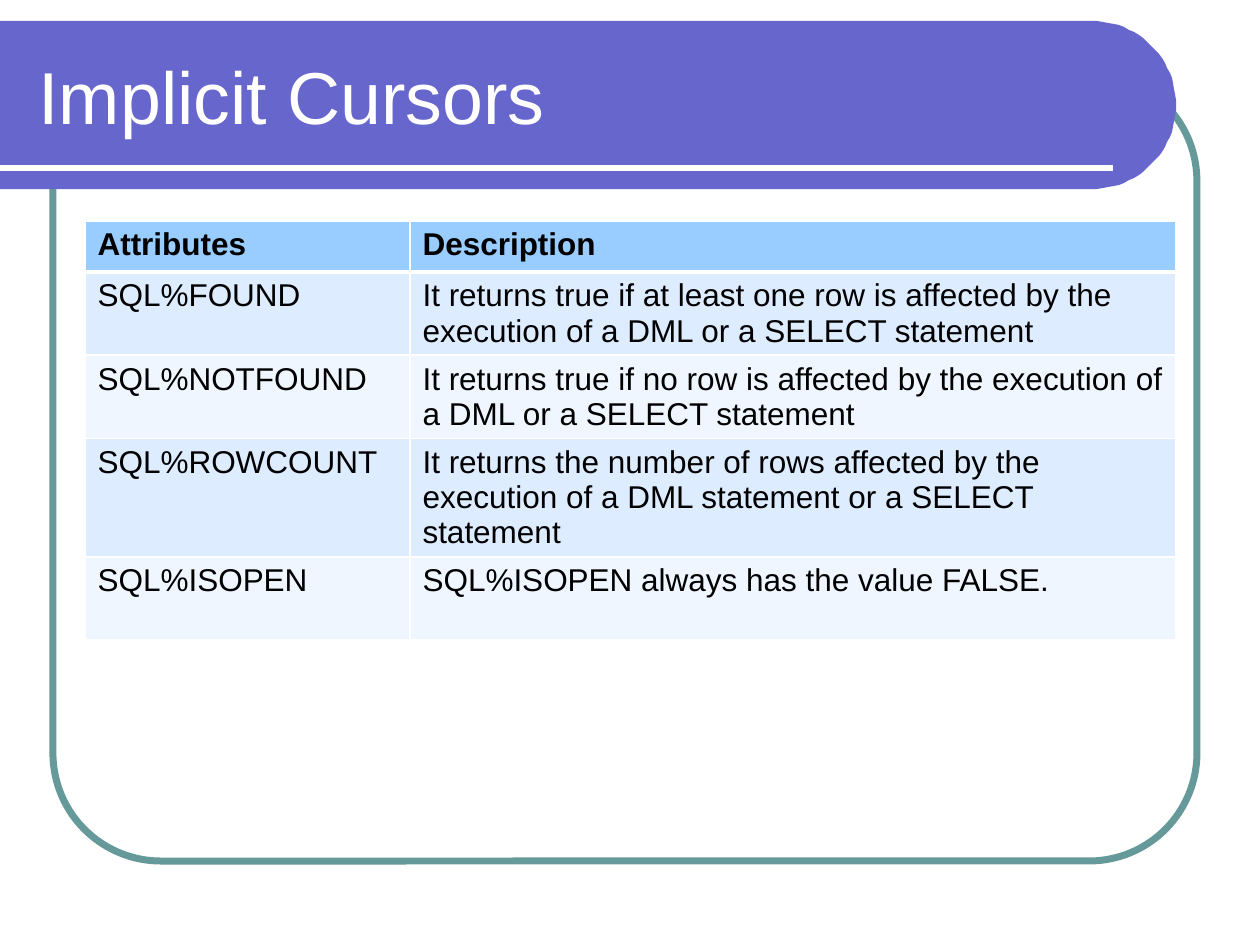
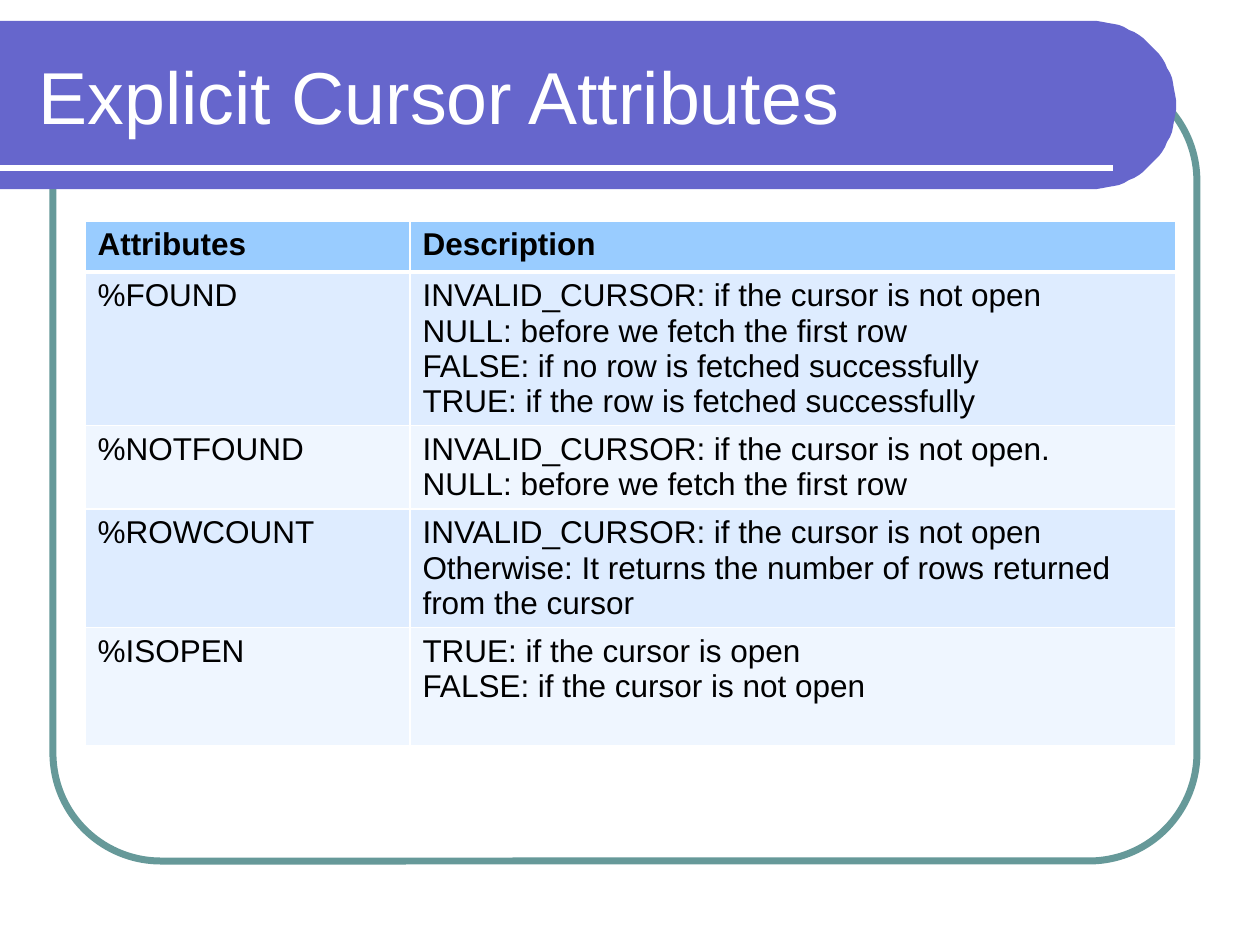
from math import cos, pi, sin

from lxml.etree import SubElement
from pptx import Presentation
from pptx.dml.color import RGBColor
from pptx.enum.shapes import MSO_CONNECTOR, MSO_SHAPE
from pptx.enum.text import MSO_ANCHOR, MSO_AUTO_SIZE, PP_ALIGN
from pptx.oxml import parse_xml
from pptx.oxml.ns import nsdecls, qn
from pptx.util import Emu, Inches, Pt

HEADINGS = ("Attributes", "Description")
# Each row: attribute, description paragraphs, height in text lines
SLIDES = [
    ("Implicit Cursors", [
        ("SQL%FOUND", ["It returns true if at least one row is affected by the "
                       "execution of a DML or a SELECT statement"], 2),
        ("SQL%NOTFOUND", ["It returns true if no row is affected by the "
                          "execution of a DML or a SELECT statement"], 2),
        ("SQL%ROWCOUNT", ["It returns the number of rows affected by the "
                          "execution of a DML statement or a SELECT statement"], 3),
        ("SQL%ISOPEN", ["SQL%ISOPEN always has the value FALSE."], 2),
    ]),
    ("Explicit Cursor Attributes", [
        ("%FOUND", ["INVALID_CURSOR: if the cursor is not open",
                    "NULL: before we fetch the first row",
                    "FALSE: if no row is fetched successfully",
                    "TRUE: if the row is fetched successfully"], 4),
        ("%NOTFOUND", ["INVALID_CURSOR: if the cursor is not open.",
                       "NULL: before we fetch the first row"], 2),
        ("%ROWCOUNT", ["INVALID_CURSOR: if the cursor is not open Otherwise: It "
                       "returns the number of rows returned from the cursor"], 3),
        ("%ISOPEN", ["TRUE: if the cursor is open",
                     "FALSE: if the cursor is not open"], 3),
    ]),
]

FONT = "Arial"
WHITE = RGBColor(0xFF, 0xFF, 0xFF)
BLACK = RGBColor(0x00, 0x00, 0x00)
VIOLET = RGBColor(0x66, 0x66, 0xCC)
TEAL = RGBColor(0x66, 0x99, 0x99)
HEADING_BLUE = RGBColor(0x99, 0xCC, 0xFF)
ROW_BLUES = (RGBColor(0xDE, 0xEC, 0xFF), RGBColor(0xEF, 0xF6, 0xFF))

EMU_PER_PX = 914400 / 126
FRAME = (53, 73, 1144, 788)
TITLE = (26, 32, 1105, 126)
BAND_TOP, BAND_RADIUS, BAND_STRAIGHT = 21, 84, 1092
RULE_Y, RULE_END = 168, 1113
TABLE_LEFT, TABLE_TOP = 85, 221
COLUMNS = (325, 766)
HEADING_HEIGHT, LINE_HEIGHT, CELL_PADDING = 51, 35, 13
ARC_STEPS = 48


def px(length):
    return Emu(round(length * EMU_PER_PX))


def add_run(paragraph, text, size, color, bold=False):
    run = paragraph.add_run()
    run.text = text
    run.font.name = FONT
    run.font.size = Pt(size)
    run.font.bold = bold
    run.font.color.rgb = color


def decorate_layout(layout, slide):
    """Draw the shared frame, band and rule, then move them behind the layout's title."""
    shapes = slide.shapes
    frame = shapes.add_shape(MSO_SHAPE.ROUNDED_RECTANGLE, *map(px, FRAME))
    frame.adjustments[0] = 0.137
    frame.fill.background()
    frame.line.color.rgb = TEAL
    frame.line.width = Pt(4)
    frame.shadow.inherit = False

    angles = [pi * (step / ARC_STEPS - 0.5) for step in range(ARC_STEPS + 1)]
    arc = [(BAND_STRAIGHT + BAND_RADIUS * cos(a),
            BAND_TOP + BAND_RADIUS * (1 + sin(a))) for a in angles]
    outline = shapes.build_freeform(0, BAND_TOP, scale=EMU_PER_PX)
    outline.add_line_segments(arc + [(0, BAND_TOP + 2 * BAND_RADIUS)], close=True)
    band = outline.convert_to_shape()
    band.fill.solid()
    band.fill.fore_color.rgb = VIOLET
    band.line.fill.background()
    band.shadow.inherit = False

    rule = shapes.add_connector(MSO_CONNECTOR.STRAIGHT, px(0), px(RULE_Y),
                                px(RULE_END), px(RULE_Y))
    rule.line.color.rgb = WHITE
    rule.line.width = Pt(3)
    SubElement(rule.element.spPr, qn("a:effectLst"))

    for depth, part in enumerate((frame, band, rule), start=2):
        layout.shapes.element.insert(depth, part.element)


def place_title(layout):
    title = layout.placeholders[0]
    title.left, title.top, title.width, title.height = map(px, TITLE)
    title.text_frame.vertical_anchor = MSO_ANCHOR.MIDDLE
    title.text_frame.auto_size = MSO_AUTO_SIZE.NONE


def fill_cell(cell, paragraphs, color, bold=False):
    cell.fill.solid()
    cell.fill.fore_color.rgb = color
    frame = cell.text_frame
    for number, text in enumerate(paragraphs):
        paragraph = frame.add_paragraph() if number else frame.paragraphs[0]
        add_run(paragraph, text, 18, BLACK, bold)


def draw_borders(table_frame):
    """White cell borders, thicker between the headings and the first row."""
    for index, properties in enumerate(table_frame.element.iter(qn("a:tcPr"))):
        row = index // len(COLUMNS)
        widths = {"lnL": 1, "lnR": 1, "lnT": 3 if row == 1 else 1,
                  "lnB": 3 if row == 0 else 1}
        for position, (side, points) in enumerate(widths.items()):
            properties.insert(position, parse_xml(
                f'<a:{side} {nsdecls("a")} w="{Pt(points)}"><a:solidFill>'
                f'<a:srgbClr val="{WHITE}"/></a:solidFill></a:{side}>'))


def add_attribute_table(slide, rows):
    heights = [HEADING_HEIGHT] + [LINE_HEIGHT * lines + CELL_PADDING
                                  for _, _, lines in rows]
    table_frame = slide.shapes.add_table(
        len(heights), len(COLUMNS), px(TABLE_LEFT), px(TABLE_TOP),
        px(sum(COLUMNS)), px(sum(heights)))
    table = table_frame.table
    table.first_row = table.horz_banding = False
    for column, width in zip(table.columns, COLUMNS):
        column.width = px(width)
    for row, height in zip(table.rows, heights):
        row.height = px(height)

    for column, heading in enumerate(HEADINGS):
        fill_cell(table.cell(0, column), [heading], HEADING_BLUE, bold=True)
    for number, (attribute, description, _) in enumerate(rows, start=1):
        color = ROW_BLUES[(number - 1) % 2]
        fill_cell(table.cell(number, 0), [attribute], color)
        fill_cell(table.cell(number, 1), description, color)
    draw_borders(table_frame)


def main():
    deck = Presentation()
    deck.slide_width, deck.slide_height = Inches(10), Inches(7.5)
    layout = deck.slide_layouts.get_by_name("Title Only")
    place_title(layout)
    for number, (heading, rows) in enumerate(SLIDES):
        slide = deck.slides.add_slide(layout)
        if number == 0:
            decorate_layout(layout, slide)
        paragraph = slide.shapes.title.text_frame.paragraphs[0]
        paragraph.alignment = PP_ALIGN.LEFT
        add_run(paragraph, heading, 42, WHITE)
        add_attribute_table(slide, rows)
    deck.save("out.pptx")


if __name__ == "__main__":
    main()
